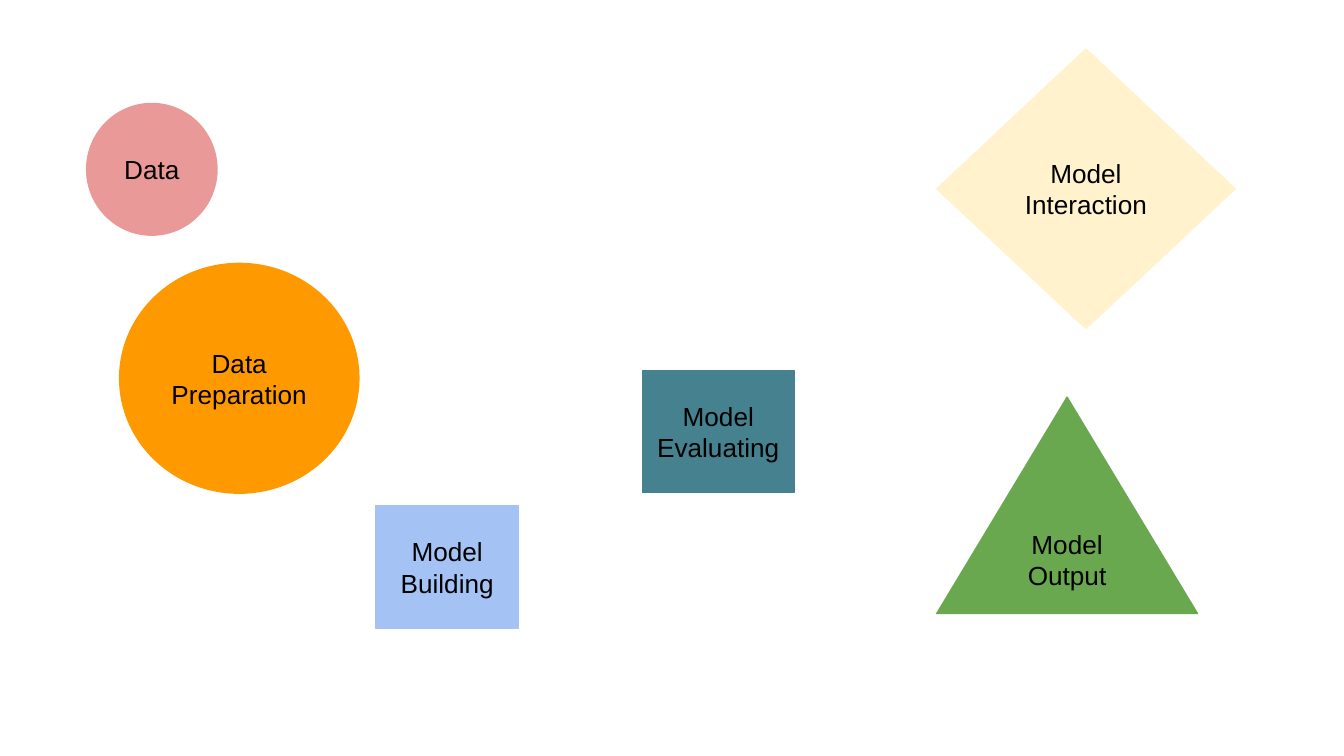
from dataclasses import dataclass

from pptx import Presentation
from pptx import util as u
from pptx.dml.color import RGBColor
from pptx.enum import shapes, text

PX = 4572  # 200 px to the inch
WIDTH, HEIGHT = 2000, 1125
FONT = "Arial"
INSET = 20
HUES = {
    "blue": "A4C2F4",
    "orange": "FF9900",
    "green": "6AA84F",
    "pink": "EA9999",
    "teal": "45818E",
    "cream": "FFF2CC",
    "black": "000000",
}
KIND = shapes.MSO_SHAPE


@dataclass(frozen=True)
class Stage:
    label: str
    kind: KIND
    hue: str
    left: int
    top: int
    width: int
    height: int


STAGES = [
    Stage("Model Building", KIND.RECTANGLE, "blue", 559, 753, 213, 182),
    Stage("Data Preparation", KIND.OVAL, "orange", 178, 392, 356, 342),
    Stage("Model Output", KIND.ISOSCELES_TRIANGLE, "green", 1394, 591, 388, 322),
    Stage("Data", KIND.OVAL, "pink", 129, 154, 194, 196),
    Stage("Model Evaluating", KIND.RECTANGLE, "teal", 956, 551, 226, 182),
    Stage("Model Interaction", KIND.DIAMOND, "cream", 1394, 73, 444, 416),
]


def px(count: int) -> u.Emu:
    return u.Emu(count * PX)


def rgb(hue: str) -> RGBColor:
    return RGBColor.from_string(HUES[hue])


def draw(slide, stage: Stage) -> None:
    box = slide.shapes.add_shape(
        stage.kind, px(stage.left), px(stage.top), px(stage.width), px(stage.height)
    )
    box.shadow.inherit = False
    box.fill.solid()
    box.fill.fore_color.rgb = rgb(stage.hue)
    box.line.color.rgb = rgb(stage.hue)
    box.line.width = u.Pt(0.75)

    frame = box.text_frame
    frame.word_wrap = True
    frame.vertical_anchor = text.MSO_ANCHOR.MIDDLE
    frame.margin_left = frame.margin_right = px(INSET)
    frame.margin_top = frame.margin_bottom = px(INSET)
    para = frame.paragraphs[0]
    para.alignment = text.PP_ALIGN.CENTER
    run = para.add_run()
    run.text = stage.label
    run.font.name = FONT
    run.font.size = u.Pt(14)
    run.font.color.rgb = rgb("black")


def main() -> None:
    deck = Presentation()
    deck.slide_width, deck.slide_height = px(WIDTH), px(HEIGHT)
    slide = deck.slides.add_slide(deck.slide_layouts[6])
    for stage in STAGES:
        draw(slide, stage)
    deck.save("out.pptx")


if __name__ == "__main__":
    main()
